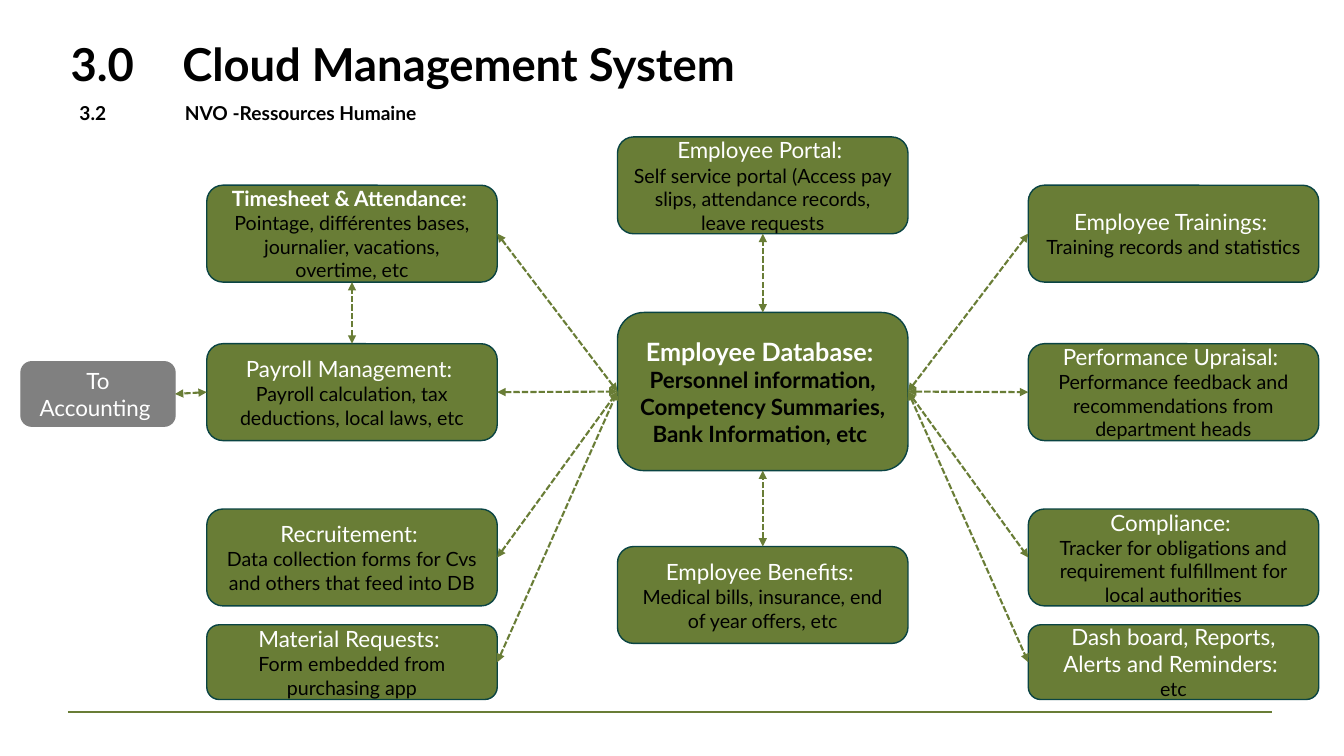
from dataclasses import dataclass

from lxml import etree
from pptx import Presentation
from pptx.dml.color import RGBColor
from pptx.enum.dml import MSO_LINE
from pptx.enum.shapes import MSO_CONNECTOR, MSO_SHAPE
from pptx.enum.text import MSO_ANCHOR, MSO_AUTO_SIZE, PP_ALIGN
from pptx.oxml.ns import qn
from pptx.util import Pt

ROUNDED, STRAIGHT = MSO_SHAPE.ROUNDED_RECTANGLE, MSO_CONNECTOR.STRAIGHT
TOP, LEFT, BOTTOM, RIGHT = range(4)  # connection sites of a rounded rectangle


@dataclass(frozen=True)
class Theme:
    font: str = "Lato"
    green: RGBColor = RGBColor(0x69, 0x7D, 0x36)
    outline: RGBColor = RGBColor(0x0A, 0x44, 0x43)
    grey: RGBColor = RGBColor(0x80, 0x80, 0x80)
    black: RGBColor = RGBColor(0, 0, 0)
    white: RGBColor = RGBColor(255, 255, 255)
    title: float = 32.4
    subtitle: float = 13.7
    heading: float = 16
    detail: float = 14
    hub_heading: float = 18
    hub_detail: float = 16
    timesheet_heading: float = 15


THEME = Theme()

# Content
TITLE = "3.0 \t Cloud Management System"
SUBTITLE = "3.2\t NVO -Ressources Humaine"

# name: (column, top, height, heading, detail)
MODULES = {
    "database": ("middle", 223.2, 113, "Employee Database: ",
                 "Personnel information, Competency Summaries, Bank Information, etc "),
    "timesheet": ("left", 132.3, 69.2, "Timesheet & Attendance: ",
                  "Pointage, différentes bases, journalier, vacations, overtime, etc"),
    "payroll": ("left", 245.5, 69.2, "Payroll Management: ",
                "Payroll calculation, tax deductions, local laws, etc"),
    "recruitment": ("left", 363.6, 69.2, "Recruitement: ",
                    "Data collection forms for Cvs and others that feed into DB"),
    "material": ("left", 446.3, 53.4, "Material Requests: ",
                 "Form embedded from purchasing app"),
    "portal": ("middle", 97.8, 69.2, "Employee Portal: ",
               "Self service portal (Access pay slips, attendance records, leave requests"),
    "benefits": ("middle", 390.4, 69.2, "Employee Benefits: ",
                 "Medical bills, insurance, end of year offers, etc"),
    "trainings": ("right", 132.3, 69.2, "Employee Trainings: ",
                  "Training records and statistics"),
    "performance": ("right", 245.5, 69.2, "Performance Upraisal: ",
                    "Performance feedback and recommendations from department heads"),
    "compliance": ("right", 363.6, 69.2, "Compliance: ",
                   "Tracker for obligations and requirement fulfillment for local authorities"),
    "dashboard": ("right", 446.3, 53.4, "Dash board, Reports, Alerts and Reminders: ", "etc"),
    "accounting": ("outside", 258.4, 46, "To Accounting ", ""),
}
COLUMNS = {  # name: (left, width)
    "outside": (15, 110),
    "left": (147.7, 207.5),
    "middle": (441.1, 207.5),
    "right": (734.5, 207.5),
}
LINKS = [
    ("timesheet", RIGHT, "database", LEFT),
    ("payroll", RIGHT, "database", LEFT),
    ("recruitment", RIGHT, "database", LEFT),
    ("material", RIGHT, "database", LEFT),
    ("database", RIGHT, "trainings", LEFT),
    ("database", RIGHT, "performance", LEFT),
    ("database", RIGHT, "compliance", LEFT),
    ("database", RIGHT, "dashboard", LEFT),
    ("database", TOP, "portal", BOTTOM),
    ("benefits", TOP, "database", BOTTOM),
    ("payroll", TOP, "timesheet", BOTTOM),
    ("payroll", LEFT, "accounting", RIGHT),
]


def style(para, size, color, bold, align=PP_ALIGN.CENTER):
    para.alignment = align
    font = para.font
    font.name, font.size, font.bold = THEME.font, Pt(size), bold
    font.color.rgb = color


def write_heading(box, text, size, anchor):
    frame = box.text_frame
    frame.word_wrap, frame.auto_size = True, MSO_AUTO_SIZE.NONE
    frame.vertical_anchor = anchor
    para = frame.paragraphs[0]
    para.text = text
    para.line_spacing = 0.9
    tabs = etree.SubElement(para._p.get_or_add_pPr(), qn("a:tabLst"))
    etree.SubElement(tabs, qn("a:tab"), pos=str(Pt(72)), algn="l")
    style(para, size, THEME.black, True, PP_ALIGN.LEFT)


def add_module(page, name):
    column, top, height, heading, detail = MODULES[name]
    left, width = COLUMNS[column]
    box = page.shapes.add_shape(ROUNDED, Pt(left), Pt(top), Pt(width), Pt(height))
    box.shadow.inherit = False
    outside, hub = column == "outside", name == "database"
    box.fill.solid()
    box.fill.fore_color.rgb = THEME.grey if outside else THEME.green
    box.line.color.rgb = THEME.grey if outside else THEME.outline
    box.line.width = Pt(1)

    heading_size = {"database": THEME.hub_heading,
                    "timesheet": THEME.timesheet_heading}.get(name, THEME.heading)
    frame = box.text_frame
    frame.word_wrap, frame.vertical_anchor = True, MSO_ANCHOR.MIDDLE
    para = frame.paragraphs[0]
    para.text = heading
    style(para, heading_size, THEME.white, name in ("database", "timesheet"))
    if detail:
        para = frame.add_paragraph()
        para.text = detail
        style(para, THEME.hub_detail if hub else THEME.detail, THEME.black, hub)
    return box


def add_line(page, start, end, width):
    line = page.shapes.add_connector(STRAIGHT, *map(Pt, start + end))
    line.line.color.rgb = THEME.green
    line.line.width = Pt(width)
    etree.SubElement(line._element.spPr, qn("a:effectLst"))
    return line


def add_link(page, boxes, source, source_side, target, target_side):
    link = add_line(page, (0, 0), (0, 0), 1.5)
    link.begin_connect(boxes[source], source_side)
    link.end_connect(boxes[target], target_side)
    link.line.dash_style = MSO_LINE.SQUARE_DOT
    for tag in ("a:headEnd", "a:tailEnd"):
        etree.SubElement(link.line._ln, qn(tag), type="triangle")


def main():
    deck = Presentation()
    deck.slide_width, deck.slide_height = Pt(960), Pt(540)
    page = deck.slides.add_slide(deck.slide_layouts[5])

    # Title and subtitle
    title = page.shapes.title
    title.left, title.top, title.width, title.height = map(Pt, (43.2, 25.2, 838.8, 45.4))
    write_heading(title, TITLE, THEME.title, MSO_ANCHOR.MIDDLE)
    subtitle = page.shapes.add_textbox(*map(Pt, (49.7, 70.6, 535, 27.4)))
    write_heading(subtitle, SUBTITLE, THEME.subtitle, MSO_ANCHOR.TOP)

    # Footer rule
    add_line(page, (48.5, 508.3), (908.5, 508.3), 1.5)

    # Modules and the links between them
    boxes = {name: add_module(page, name) for name in MODULES}
    for link in LINKS:
        add_link(page, boxes, *link)

    deck.save("out.pptx")


if __name__ == "__main__":
    main()
